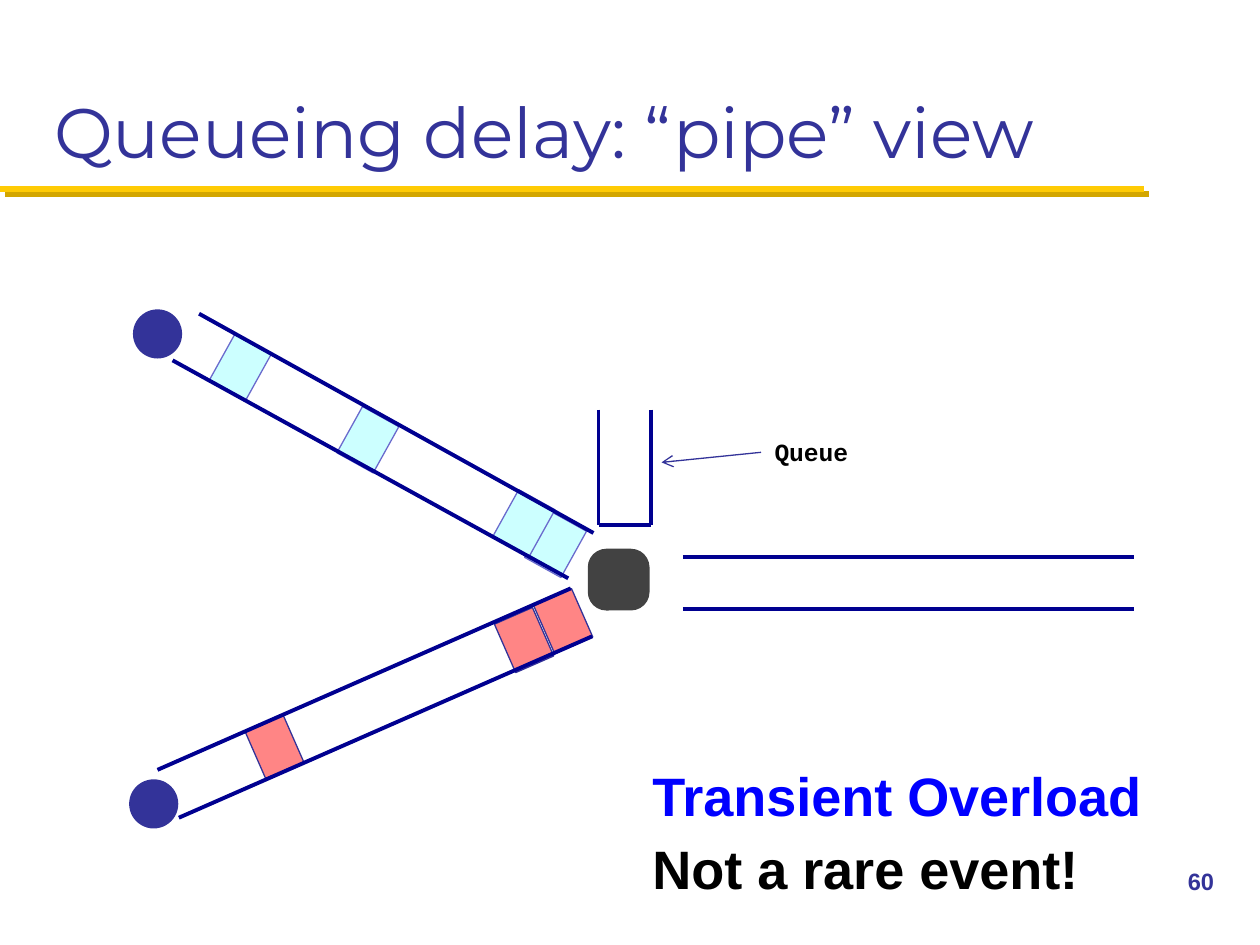
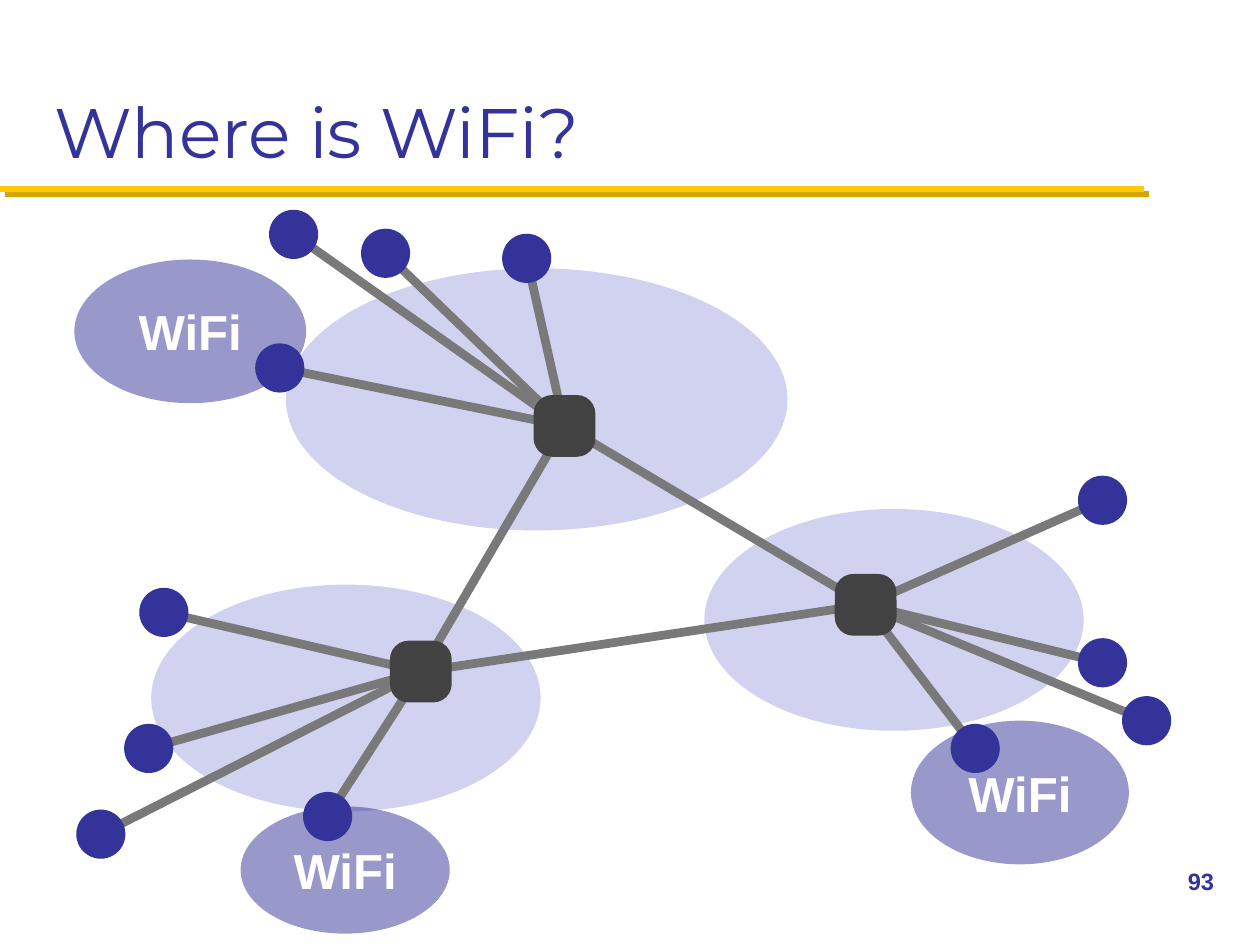
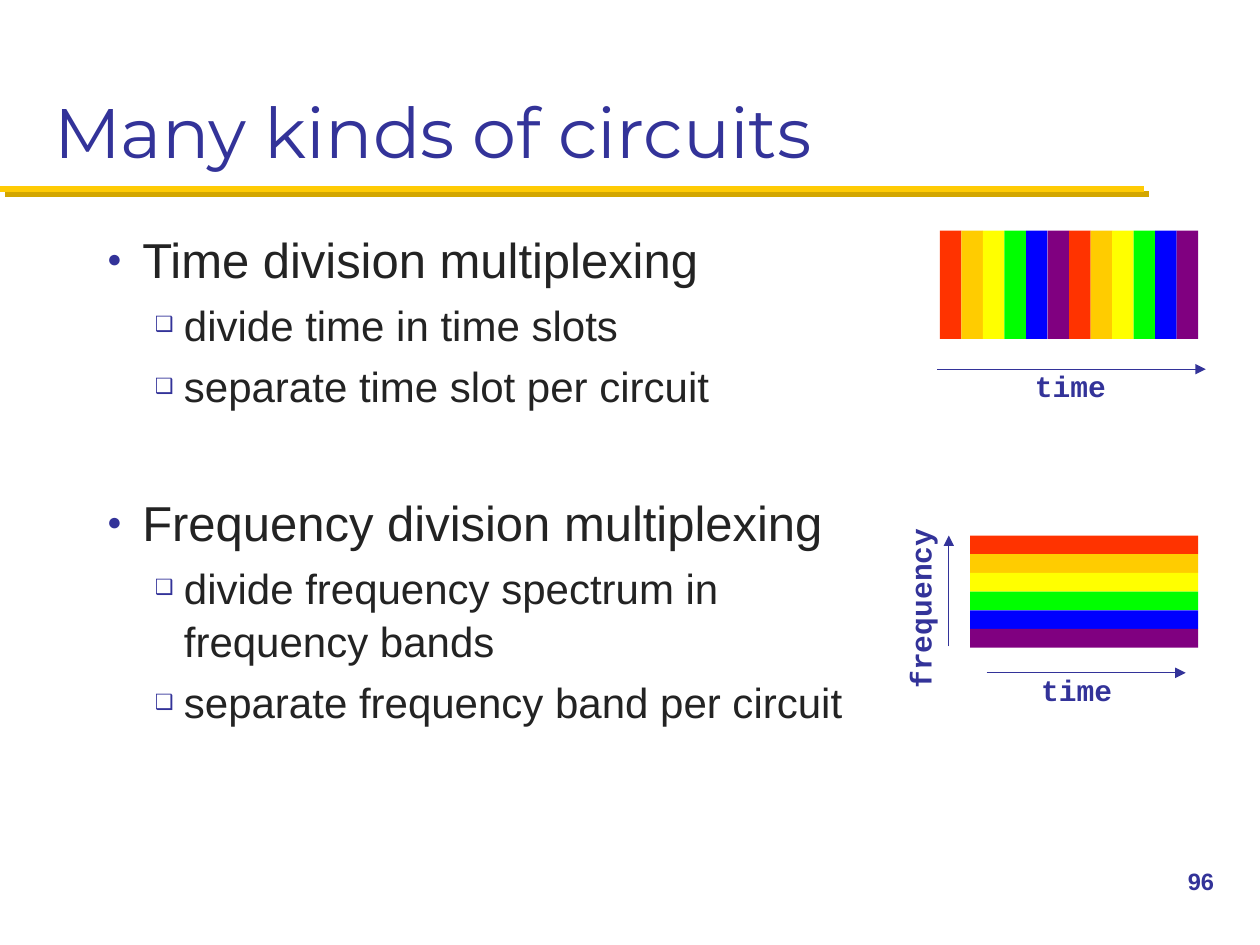
from lxml import etree
from pptx import Presentation
from pptx.dml.color import RGBColor
from pptx.enum import shapes, text
from pptx.oxml.ns import qn
from pptx.util import Inches, Pt

HUES = {
    "navy": "333399", "pipe": "000090", "gold": "FFCB05", "shade": "D3A600",
    "node": "424242", "link": "797979", "cloud": "D1D1F0", "ink": "232323",
    "black": "000000", "white": "FFFFFF", "blue": "0000FF",
    "rose": "FF8585", "aqua": "CCFFFF", "edge": "6A6ACD",
    "red": "FF3300", "amber": "FFCC00", "yellow": "FFFF00",
    "green": "00FF00", "purple": "800080",
}
SLOTS = ["red", "amber", "yellow", "green", "blue", "purple"]
KINDS = shapes.MSO_SHAPE
ALIGN = text.PP_ALIGN
SANS, MONO, HEAD = "Arial", "Courier New", "Montserrat"


def hue(name):
    return RGBColor.from_string(HUES[name])


def sub(root, tag, **attrs):
    return etree.SubElement(root, qn(tag), attrs)


def style(para, size, color, font=SANS, bold=False):
    for run in para.runs:
        run.font.size = Pt(size)
        run.font.name = font
        run.font.bold = bold
        run.font.color.rgb = hue(color)


class Deck:
    """Holds the shared style and the slide being drawn."""

    def __init__(self):
        self.prs = Presentation()
        self.prs.slide_width = Inches(10)
        self.prs.slide_height = Inches(7.5)

    def start(self, title, number, layout=5):
        self.slide = self.prs.slides.add_slide(self.prs.slide_layouts[layout])
        self.shapes = self.slide.shapes
        band = self.line((0, 1.5), (9.08, 1.5), "gold", 3.5)
        glow = sub(band._element.spPr.find(qn("a:effectLst")), "a:outerShdw",
                   dist=str(Pt(4.2)), dir="2700000", algn="ctr", rotWithShape="0")
        sub(glow, "a:srgbClr", val=HUES["shade"])
        head = self.shapes.title
        self.place(head, 0.33, 0.17, 9.33, 1.25)
        frame = head.text_frame
        frame.text = title
        frame.vertical_anchor = text.MSO_ANCHOR.BOTTOM
        frame.auto_size = text.MSO_AUTO_SIZE.NONE
        frame.paragraphs[0].alignment = ALIGN.LEFT
        style(frame.paragraphs[0], 40, "navy", HEAD)
        self.label(number, (9.33, 6.83, 0.67, 0.5), 13.5, "navy")

    def place(self, shape, left, top, width, height):
        shape.left, shape.top = Inches(left), Inches(top)
        shape.width, shape.height = Inches(width), Inches(height)

    def line(self, start, end, color, width, head=None):
        ends = [Inches(n) for n in (*start, *end)]
        wire = self.shapes.add_connector(shapes.MSO_CONNECTOR.STRAIGHT, *ends)
        wire.line.color.rgb = hue(color)
        wire.line.width = Pt(width)
        props = wire._element.spPr
        if head:
            sub(props.find(qn("a:ln")), "a:tailEnd", type=head)
        sub(props, "a:effectLst")
        return wire

    def shape(self, kind, box, fill, edge=None, turn=0):
        item = self.shapes.add_shape(kind, *[Inches(n) for n in box])
        item.shadow.inherit = False
        item.rotation = turn
        item.fill.solid()
        item.fill.fore_color.rgb = hue(fill)
        if edge:
            item.line.color.rgb = hue(edge)
            item.line.width = Pt(0.75)
        else:
            item.line.fill.background()
        return item

    def host(self, x, y, size=0.39):
        self.shape(KINDS.OVAL, (x - size / 2, y - size / 2, size, size), "navy")

    def router(self, x, y, size=0.49):
        box = (x - size / 2, y - size / 2, size, size)
        self.shape(KINDS.ROUNDED_RECTANGLE, box, "node").adjustments[0] = 0.3

    def wifi(self, box):
        zone = self.shape(KINDS.OVAL, box, "navy")
        color = zone._element.spPr.find(qn("a:solidFill"))[0]
        sub(color, "a:alpha", val="50000")
        frame = zone.text_frame
        frame.margin_left = frame.margin_right = 0
        frame.margin_top = frame.margin_bottom = 0
        frame.vertical_anchor = text.MSO_ANCHOR.MIDDLE
        frame.text = "WiFi"
        frame.paragraphs[0].alignment = ALIGN.CENTER
        style(frame.paragraphs[0], 28.1, "white", bold=True)

    def label(self, words, box, size, color, font=SANS, align=ALIGN.LEFT,
              wrap=True, turn=0):
        item = self.shapes.add_textbox(*[Inches(n) for n in box])
        item.rotation = turn
        frame = item.text_frame
        frame.word_wrap = wrap
        frame.text = words
        frame.paragraphs[0].alignment = align
        style(frame.paragraphs[0], size, color, font, True)

    def axis(self, words, box, start, end, turn=0):
        self.line(start, end, "navy", 0.75, "triangle")
        self.label(words, box, 16.9, "navy", MONO, ALIGN.CENTER, False, turn)

    def pipe(self, walls, packets=(), fill=None, edge=None, turn=0):
        """Draws packets, given by their centres, and the walls over them."""
        for x, y in packets:
            box = (x - 0.165, y - 0.21, 0.33, 0.42)
            self.shape(KINDS.RECTANGLE, box, fill, edge, turn)
        for start, end in walls:
            self.line(start, end, "pipe", 2.25)

    def bullets(self, items):
        """Fills the body from (level, space before, words) rows."""
        body = self.slide.placeholders[1]
        self.place(body, 0.75, 1.75, 8.67, 4.83)
        frame = body.text_frame
        frame.auto_size = text.MSO_AUTO_SIZE.NONE
        looks = [(0.28, 0.28, "●", 28), (0.61, 0.23, "❑", 24)]
        for i, (level, gap, words) in enumerate(items):
            para = frame.add_paragraph() if i else frame.paragraphs[0]
            left, hang, mark, size = looks[level]
            para.text = words
            para.level = level
            props = para._p.get_or_add_pPr()
            props.set("marL", str(Inches(left)))
            props.set("indent", str(-Inches(hang)))
            sub(sub(props, "a:buClr"), "a:srgbClr", val=HUES["navy"])
            sub(props, "a:buSzPct", val="50000")
            sub(props, "a:buChar", char=mark)
            para.space_before = Pt(gap)
            para.line_spacing = 1.05
            style(para, size, "ink")


def queueing(deck):
    deck.start("Queueing delay: “pipe” view", "60")
    deck.pipe([((1.25, 6.11), (4.53, 4.67)), ((1.42, 6.49), (4.7, 5.05))],
              [(2.18, 5.93), (4.47, 4.93), (4.16, 5.08)], "rose", "navy", 336.3)
    deck.pipe([((1.58, 2.49), (4.71, 4.23)), ((1.37, 2.86), (4.51, 4.59))],
              [(4.41, 4.32), (4.16, 4.15), (2.92, 3.49), (1.91, 2.91)],
              "aqua", "edge", 29)
    deck.pipe([((x, 3.25), (x, 4.17)) for x in (4.75, 5.17)]
              + [((4.75, 4.17), (5.17, 4.17))])
    deck.pipe([((5.42, y), (9, y)) for y in (4.42, 4.83)])
    deck.host(1.25, 2.65)
    deck.host(1.22, 6.38)
    deck.router(4.91, 4.6)
    deck.line((6.04, 3.59), (5.25, 3.67), "navy", 0.75, "arrow")
    deck.label("Queue", (6.04, 3.42, 0.79, 0.34), 14.1, "black", MONO,
               ALIGN.RIGHT, False)
    deck.label("Transient Overload", (5.08, 6, 4.67, 0.62), 30.9, "blue")
    deck.label("Not a rare event!", (5.08, 6.58, 4.67, 0.62), 30.9, "black")


def wireless(deck):
    deck.start("Where is WiFi?", "93")
    nets = {
        (4.48, 3.38): [(2.22, 2.92), (2.33, 1.86), (3.06, 2.01), (4.18, 2.05)],
        (3.34, 5.33): [(1.3, 4.86), (2.6, 6.48), (1.18, 5.94), (0.8, 6.62)],
        (6.87, 4.8): [(8.75, 3.97), (7.74, 5.94), (8.75, 5.26), (9.1, 5.72)],
    }
    for box in [(5.59, 4.04, 3.01, 1.76), (2.27, 2.13, 3.98, 2.08),
                (1.2, 4.64, 3.09, 1.8)]:
        deck.shape(KINDS.OVAL, box, "cloud")
    hubs = list(nets)
    for i, hub in enumerate(hubs):
        for end in nets[hub] + [hubs[i - 1]]:
            deck.line(end, hub, "link", 5)
    for hub, hosts in nets.items():
        deck.router(*hub)
        for spot in hosts:
            deck.host(*spot)
    for box in [(1.91, 6.4, 1.66, 1.01), (7.23, 5.72, 1.73, 1.14),
                (0.59, 2.06, 1.84, 1.14)]:
        deck.wifi(box)


def circuits(deck):
    deck.start("Many kinds of circuits", "96", layout=1)
    deck.bullets([
        (0, 0, "Time division multiplexing"),
        (1, 4.8, "divide time in time slots"),
        (1, 4.8, "separate time slot per circuit"),
        (0, 45, "Frequency division multiplexing"),
        (1, 4.8, "divide frequency spectrum in \vfrequency bands"),
        (1, 4.8, "separate frequency band per circuit"),
    ])
    wide, high = 2.05 / 12, 0.89 / 6
    for i, color in enumerate(SLOTS * 2):
        deck.shape(KINDS.RECTANGLE, (7.46 + i * wide, 1.83, wide, 0.86), color)
    for i, color in enumerate(SLOTS):
        deck.shape(KINDS.RECTANGLE, (7.7, 4.25 + i * high, 1.81, high), color)
    deck.axis("time", (8.11, 2.87, 0.77, 0.38), (7.44, 2.93), (9.57, 2.93))
    deck.axis("time", (8.16, 5.28, 0.77, 0.38), (7.83, 5.34), (9.41, 5.34))
    deck.axis("frequency", (6.56, 4.64, 1.48, 0.38), (7.53, 5.13),
              (7.53, 4.25), 270)


def main():
    deck = Deck()
    for draw in (queueing, wireless, circuits):
        draw(deck)
    deck.prs.save("out.pptx")


if __name__ == "__main__":
    main()
